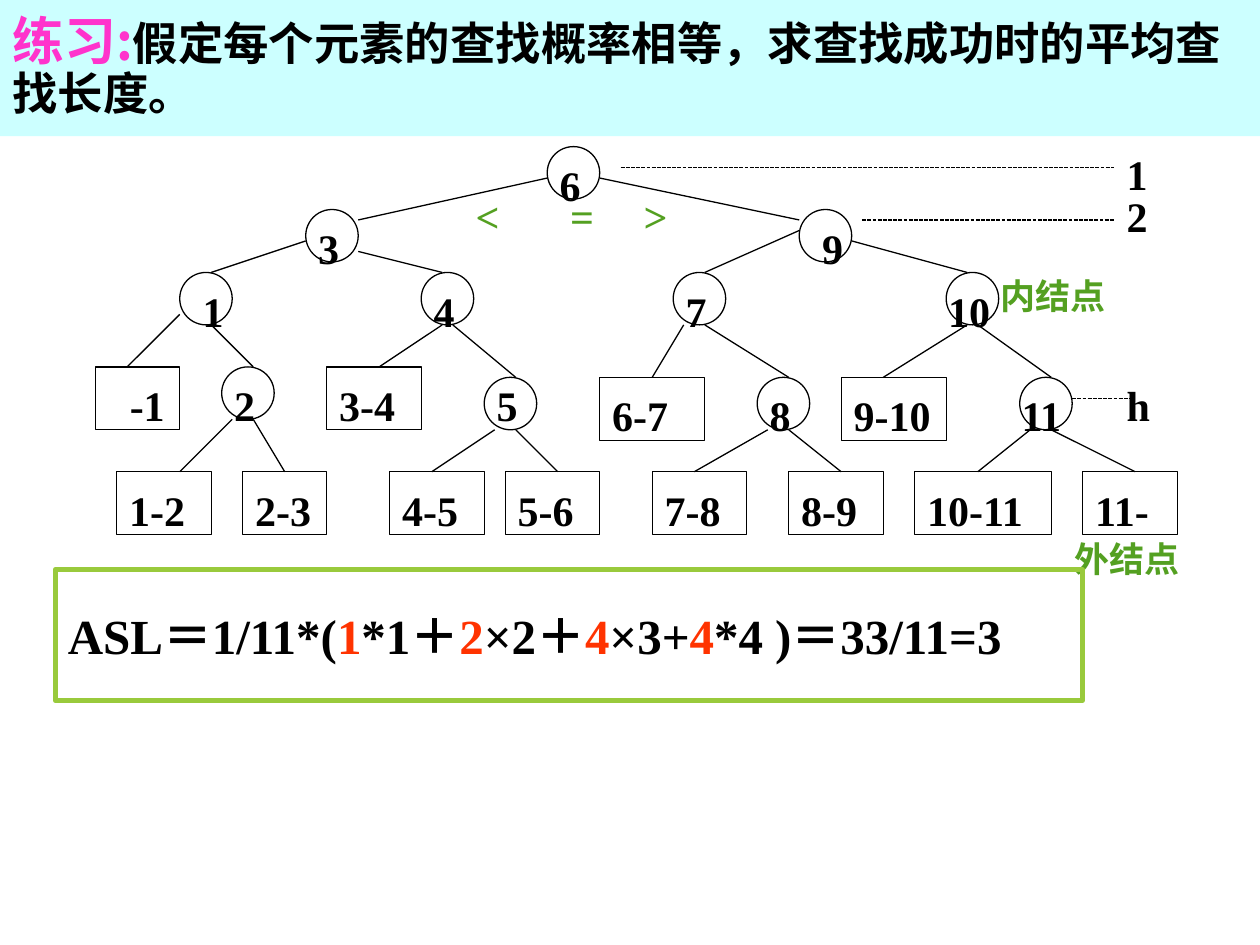
from pptx import Presentation
from pptx.dml.color import RGBColor
from pptx.enum.dml import MSO_LINE
from pptx.enum.shapes import MSO_CONNECTOR, MSO_SHAPE
from pptx.enum.text import MSO_ANCHOR, PP_ALIGN
from pptx.oxml.ns import qn
from pptx.util import Inches, Pt
from lxml.etree import SubElement

SLIDE_W, SLIDE_H = 10, 7.5
BLACK, GREEN, RED, PINK = "000000", "54A021", "FF3300", "FF33CC"
SERIF, SANS = "Times New Roman", "Noto Sans CJK SC"

# The tree is laid out on a grid
TREE_COLS, TREE_ROWS = 105, 43
NODE, LEAF_ROWS = 5, 6

# key, (col, row), label shift, left edge, right edge
INNER_NODES = [
    ("6", (43, 1), (0, 0), (43, 4, 25, 8), (48, 4, 67, 8)),
    ("3", (20, 7), (0, 0), (20, 10, 11, 13), (25, 11, 33, 13)),
    ("9", (67, 7), (1, 0), (67, 9, 58, 13), (72, 10, 83, 13)),
    ("1", (8, 13), (1, 0), (8, 17, 3, 22), (11, 18, 15, 22)),
    ("4", (31, 13), (0, 0), (33, 18, 27, 22), (34, 18, 40, 23)),
    ("7", (55, 13), (0, 0), (56, 18, 53, 23), (58, 18, 66, 23)),
    ("10", (81, 13), (-1, 0), (83, 18, 75, 23), (84, 18, 91, 23)),
    ("2", (12, 22), (0, 0), (13, 27, 8, 32), (15, 27, 18, 32)),
    ("5", (37, 23), (0, -1), (38, 28, 32, 32), (40, 28, 44, 32)),
    ("8", (63, 23), (0, 0), (64, 28, 57, 32), (66, 28, 71, 32)),
    ("11", (88, 23), (-1, 0), (89, 28, 84, 32), (91, 28, 99, 32)),
]
# range, col, row, columns wide
OUTER_NODES = [
    ("-1", 0, 22, 8), ("3-4", 22, 22, 9), ("6-7", 48, 23, 10),
    ("9-10", 71, 23, 10), ("1-2", 2, 32, 9), ("2-3", 14, 32, 8),
    ("4-5", 28, 32, 9), ("5-6", 39, 32, 9), ("7-8", 53, 32, 9),
    ("8-9", 66, 32, 9), ("10-11", 78, 32, 13), ("11-", 94, 32, 9),
]
LEVEL_LINES = [(50, 3, 97, 3), (73, 8, 97, 8), (93, 25, 99, 25)]
# text, col, row, columns wide, size, colour
LABELS = [
    ("1", 97, 0, 7, 24, BLACK), ("2", 97, 4, 7, 24, BLACK),
    ("h", 97, 22, 7, 24, BLACK),
    ("外结点", 92, 38, 13, 20, GREEN), ("内结点", 85, 13, 13, 20, GREEN),
    (">", 51, 4, 9, 24, GREEN), ("<", 35, 4, 6, 24, GREEN),
    ("=", 44, 4, 7, 24, GREEN),
]


def color(hex_value):
    return RGBColor.from_string(hex_value)


def write(shape, runs, anchor=MSO_ANCHOR.TOP, top=0.05, left=0.1, spacing=None):
    """Fill a shape with runs of (text, size, colour, font)."""
    frame = shape.text_frame
    layout = {"word_wrap": True, "vertical_anchor": anchor,
              "margin_left": Inches(left), "margin_right": Inches(0.1),
              "margin_top": Inches(top), "margin_bottom": Inches(0.05)}
    for name, value in layout.items():
        setattr(frame, name, value)
    line = frame.paragraphs[0]
    line.alignment = PP_ALIGN.LEFT
    if spacing:
        line.line_spacing = spacing
    for text, size, hue, face in runs:
        run = line.add_run()
        run.text = text
        for name, value in {"size": Pt(size), "bold": True, "name": face}.items():
            setattr(run.font, name, value)
        run.font.color.rgb = color(hue)


def outline(slide, kind, box, line=None, width=0.75, fill=None):
    shape = slide.shapes.add_shape(kind, *map(Inches, box))
    shape.shadow.inherit = False
    if fill:
        shape.fill.solid()
        shape.fill.fore_color.rgb = color(fill)
    else:
        shape.fill.background()
    if line:
        shape.line.color.rgb = color(line)
        shape.line.width = Pt(width)
    else:
        shape.line.fill.background()
    return shape


def draw_line(slide, start, end, dash=None):
    edge = slide.shapes.add_connector(
        MSO_CONNECTOR.STRAIGHT, *map(Inches, (*start, *end)))
    edge.line.color.rgb = color(BLACK)
    edge.line.width = Pt(0.75)
    if dash:
        edge.line.dash_style = dash
    SubElement(edge._element.spPr, qn("a:effectLst"))


def search_tree(slide, box):
    left, top, width, height = box
    col, row = width / TREE_COLS, height / TREE_ROWS

    def at(x, y):
        return left + x * col, top + y * row

    def cells(x, y, cols, rows):
        return (*at(x, y), cols * col, rows * row)

    def label(text, x, y, cols, size=24, hue=BLACK):
        holder = slide.shapes.add_textbox(*map(Inches, cells(x, y, cols, LEAF_ROWS)))
        write(holder, [(text, size, hue, SERIF)], top=0.1 if size == 24 else 0.02)

    # Inner nodes with their keys and two edges
    for key, (x, y), (dx, dy), *edges in INNER_NODES:
        outline(slide, MSO_SHAPE.OVAL, cells(x, y, NODE, NODE), BLACK)
        label(key, x + dx, y + dy, 7)
        for x1, y1, x2, y2 in edges:
            draw_line(slide, at(x1, y1), at(x2, y2))

    # Outer nodes; the open first range is set further in
    for span, x, y, cols in OUTER_NODES:
        leaf = outline(slide, MSO_SHAPE.RECTANGLE, cells(x, y, cols, LEAF_ROWS), BLACK)
        write(leaf, [(span, 24, BLACK, SERIF)], top=0.1,
              left=0.27 if span == "-1" else 0.1)

    # Levels and captions
    for x1, y1, x2, y2 in LEVEL_LINES:
        draw_line(slide, at(x1, y1), at(x2, y2), MSO_LINE.SQUARE_DOT)
    for caption in LABELS:
        label(*caption)


def average_length(slide, box):
    frame = outline(slide, MSO_SHAPE.RECTANGLE, box, "99CA3C", 3)
    terms = ["ASL＝1/11*(", "1", "*1＋", "2", "×2＋", "4", "×3+", "4",
             "*4 )＝33/11=3"]
    # Every second term is a node count
    write(frame, [(term, 28, RED if i % 2 else BLACK, SERIF)
                  for i, term in enumerate(terms)], MSO_ANCHOR.MIDDLE)


def question(slide, box):
    banner = outline(slide, MSO_SHAPE.RECTANGLE, box, fill="CCFFFF")
    write(banner, [
        ("练习:", 29.6, PINK, SANS),
        ("假定每个元素的查找概率相等，求查找成功时的平均查找长度。", 25.9, BLACK, SERIF),
    ], MSO_ANCHOR.MIDDLE, spacing=0.9)


def main():
    deck = Presentation()
    deck.slide_width, deck.slide_height = Inches(SLIDE_W), Inches(SLIDE_H)
    slide = deck.slides.add_slide(deck.slide_layouts[6])
    search_tree(slide, (0.76, 1.08, 8.75, 3.58))
    average_length(slide, (0.44, 4.52, 8.15, 1.04))
    question(slide, (0, 0, SLIDE_W, 1.08))
    deck.save("out.pptx")


if __name__ == "__main__":
    main()
